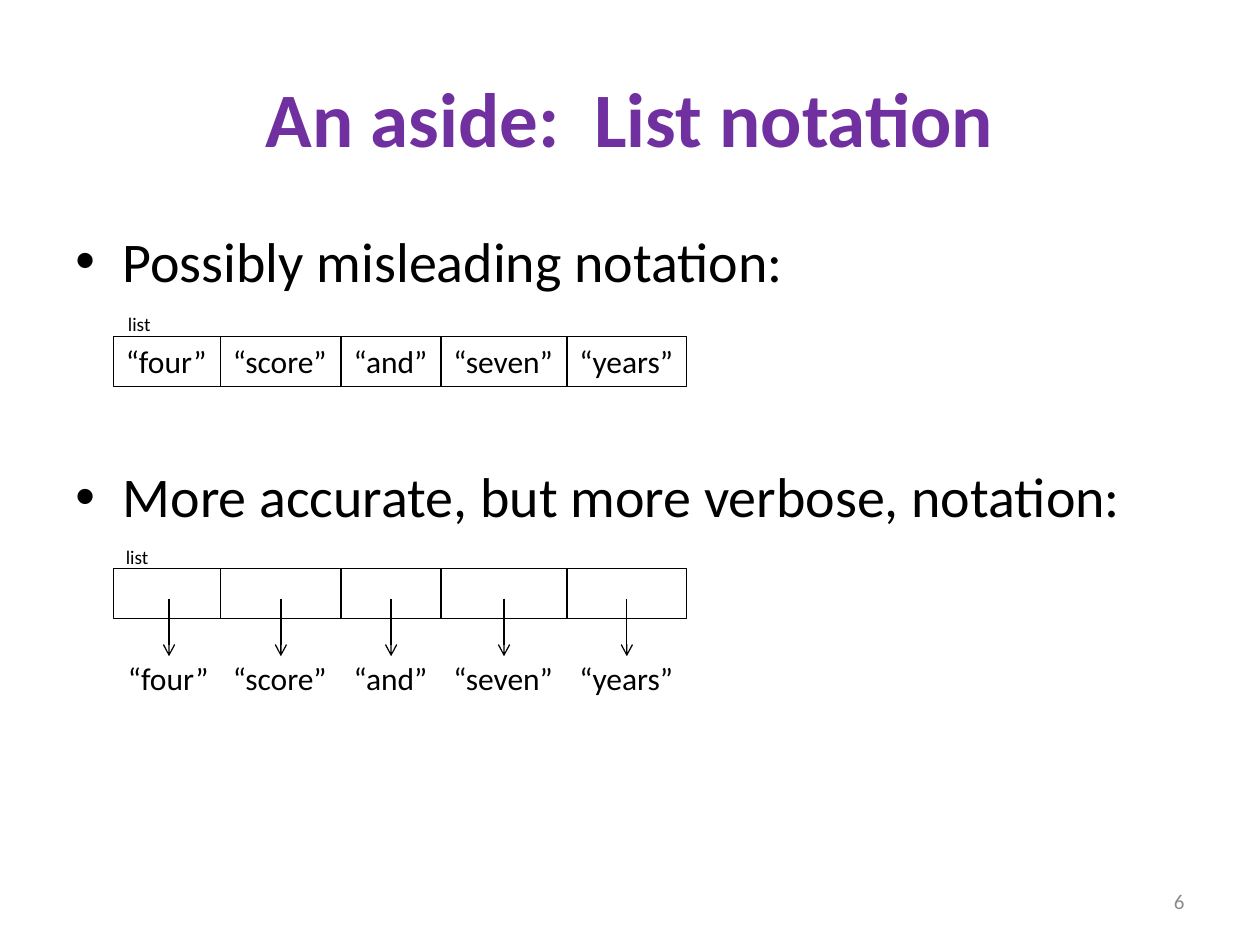
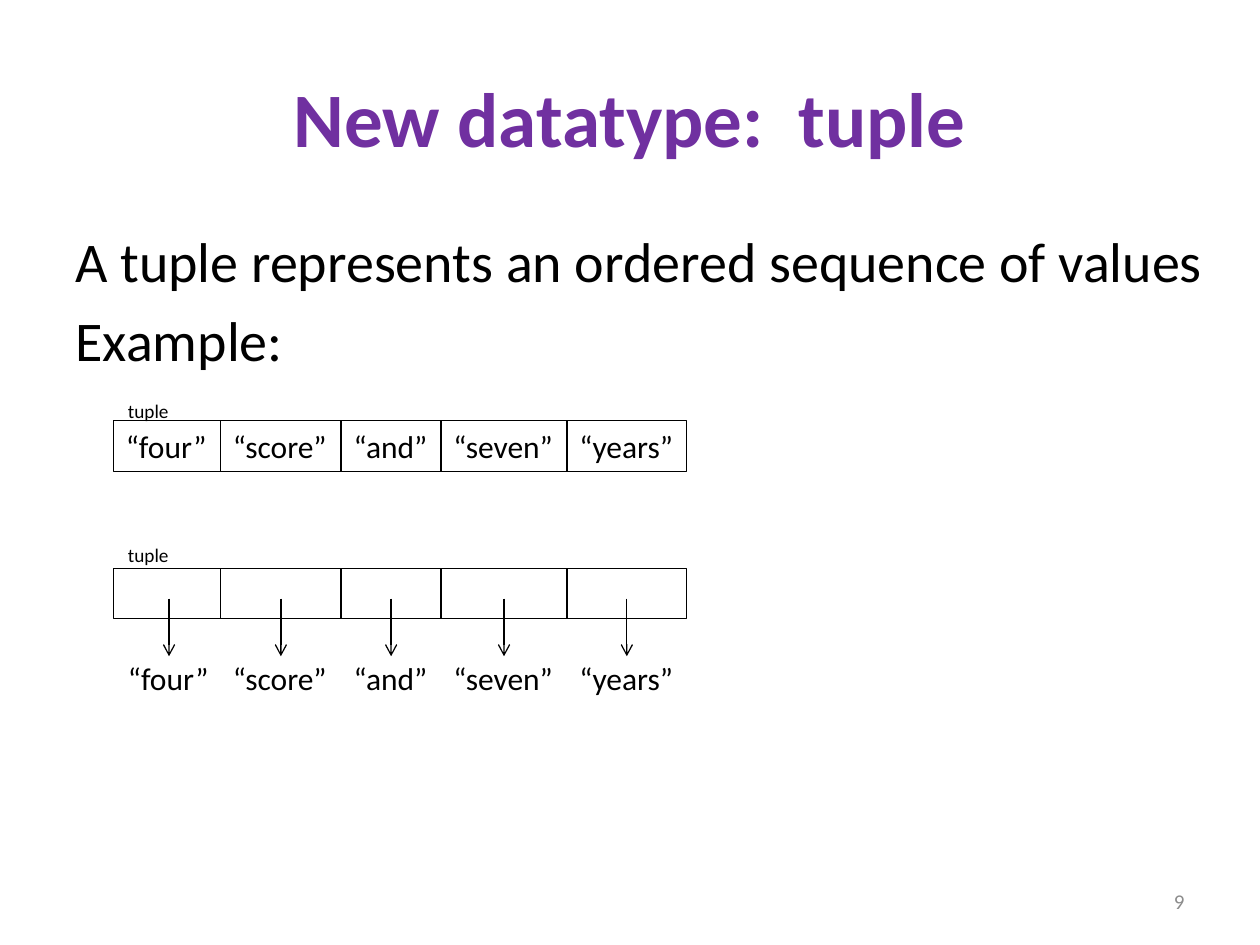
"""Builds two slides that show how lists and tuples hold their values."""
from lxml.etree import SubElement
from pptx import Presentation
from pptx.dml.color import RGBColor
from pptx.enum.shapes import MSO_CONNECTOR, MSO_SHAPE
from pptx.enum.text import MSO_ANCHOR, PP_ALIGN
from pptx.oxml.ns import qn
from pptx.util import Pt

BLACK, PURPLE, GREY = "000000", "7030A0", "8C8C8C"
TITLE = {"size": Pt(44), "bold": True}
BODY = {"size": Pt(32)}
VALUE = {"size": Pt(18)}
LABEL = {"size": Pt(11)}
NUMBER = {"size": Pt(12)}

LEFT, CELL_HEIGHT = 64.8, 28.8
POINTER_TOP, ARROW_TOP, ARROW_END, VALUE_TOP = 324.7, 342, 375, 373
ENTRIES = [("“four”", 61.2, 1.2), ("“score”", 69, 0), ("“and”", 57, 0),
           ("“seven”", 72, 0), ("“years”", 68.4, 0)]

SLIDES = [
    {"title": "An aside:  List notation", "number": "6", "bulleted": True,
     "body_width": 648, "value_row": 192.2,
     "body": [("Possibly misleading notation:", 6.4),
              ("More accurate, but more verbose, notation:", 96)],
     "label": "list", "label_width": 27.4,
     "label_spots": [(66, 175), (64.8, 308.2)]},
    {"title": "New datatype:  tuple", "number": "9", "bulleted": False,
     "body_width": 660, "value_row": 240.5,
     "body": [("A tuple represents an ordered sequence of values", 6.4),
              ("Example:", 6.4)],
     "label": "tuple", "label_width": 38.2,
     "label_spots": [(66, 224.6), (66, 306.7)]},
]


def rgb(code):
    """Turn a hex string into a colour."""
    return RGBColor.from_string(code)


def write(shape, text, style, ink=BLACK, align=PP_ALIGN.LEFT, wrap=False, anchor=MSO_ANCHOR.TOP):
    """Put text into a shape, one paragraph a line, and format it."""
    frame = shape.text_frame
    frame.text = text
    frame.word_wrap = wrap
    frame.vertical_anchor = anchor
    for paragraph in frame.paragraphs:
        paragraph.alignment = align
        paragraph.font.name = "Calibri"
        paragraph.font.color.rgb = rgb(ink)
        for attribute, value in style.items():
            setattr(paragraph.font, attribute, value)


deck = Presentation()
deck.slide_width, deck.slide_height = Pt(720), Pt(540)

for content in SLIDES:
    slide = deck.slides.add_slide(deck.slide_layouts[5])
    shapes = slide.shapes

    title = shapes.title
    title.left, title.top, title.width, title.height = Pt(36), Pt(21.6), Pt(648), Pt(90)
    write(title, content["title"], TITLE, PURPLE, PP_ALIGN.CENTER, True, MSO_ANCHOR.MIDDLE)

    body = shapes.add_textbox(Pt(36), Pt(126), Pt(content["body_width"]), Pt(356.4))
    write(body, "\n".join(line for line, gap in content["body"]), BODY, wrap=True)
    for paragraph, (line, gap) in zip(body.text_frame.paragraphs, content["body"]):
        paragraph.space_before = Pt(gap)
        if content["bulleted"]:
            properties = paragraph._p.get_or_add_pPr()
            properties.set("marL", str(Pt(27)))
            properties.set("indent", str(Pt(-27)))
            SubElement(properties, qn("a:buFont"), typeface="Arial")
            SubElement(properties, qn("a:buChar"), char="•")

    left = LEFT
    for word, width, nudge in ENTRIES:
        for top, cell_text in ((content["value_row"], word), (POINTER_TOP, "")):
            cell = shapes.add_shape(MSO_SHAPE.RECTANGLE, Pt(left), Pt(top), Pt(width), Pt(CELL_HEIGHT))
            cell.shadow.inherit = False
            cell.fill.background()
            cell.line.color.rgb = rgb(BLACK)
            cell.line.width = Pt(0.75)
            write(cell, cell_text, VALUE)

        target = shapes.add_textbox(Pt(left + nudge), Pt(VALUE_TOP), Pt(width), Pt(CELL_HEIGHT))
        write(target, word, VALUE)

        middle = Pt(left + width / 2 + nudge)
        arrow = shapes.add_connector(MSO_CONNECTOR.STRAIGHT, middle, Pt(ARROW_TOP), middle, Pt(ARROW_END))
        arrow.line.color.rgb = rgb(BLACK)
        arrow.line.width = Pt(0.75)
        SubElement(arrow.line._get_or_add_ln(), qn("a:tailEnd"), type="arrow")
        SubElement(arrow._element.spPr, qn("a:effectLst"))
        left += width

    for label_left, label_top in content["label_spots"]:
        label = shapes.add_textbox(Pt(label_left), Pt(label_top), Pt(content["label_width"]), Pt(20.6))
        write(label, content["label"], LABEL)

    number = shapes.add_textbox(Pt(516), Pt(500.5), Pt(168), Pt(28.8))
    write(number, content["number"], NUMBER, GREY, PP_ALIGN.RIGHT, True, MSO_ANCHOR.MIDDLE)

deck.save("out.pptx")
